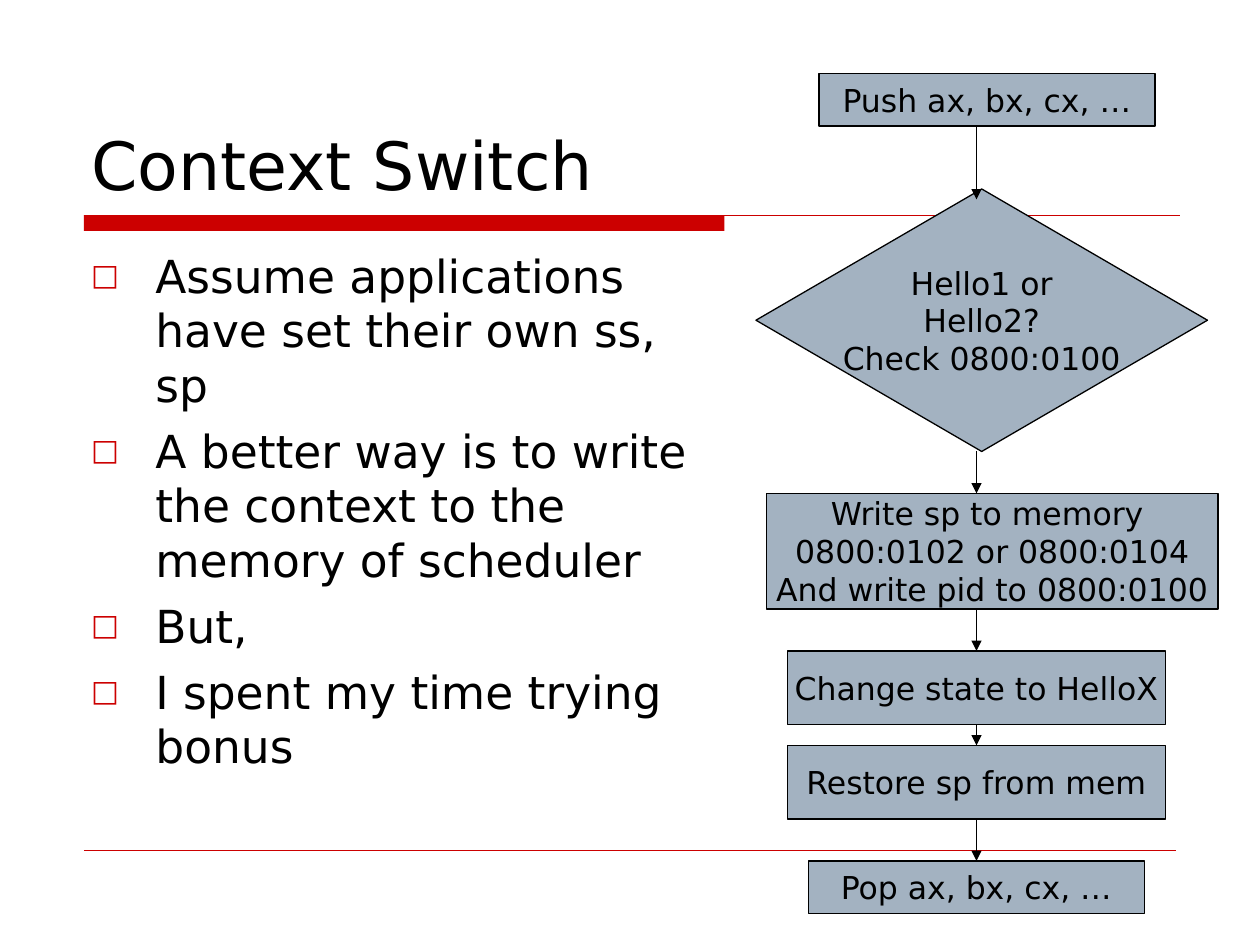
from pptx import Presentation
from pptx.dml.color import RGBColor
from pptx.enum.shapes import MSO_CONNECTOR as Connector, MSO_SHAPE as Shape
from pptx.enum.text import MSO_ANCHOR as Anchor, MSO_AUTO_SIZE as AutoSize, PP_ALIGN as Align
from pptx.oxml.ns import qn
from pptx.util import Inches, Pt
from lxml.etree import SubElement

COLUMNS, ROWS = 120, 90
WIDTH, HEIGHT = Inches(10), Inches(7.5)
FONT = "DejaVu Sans"
RED, BLACK, STEEL = "CC0000", "000000", "A3B2C1"
BOTTOM, TOP = 2, 0
SPINE = 93

POINTS = [
    "Assume applications have set their own ss, sp",
    "A better way is to write the context to the memory of scheduler",
    "But,",
    "I spent my time trying bonus",
]
STEPS = [
    (Shape.RECTANGLE, (78, 7, 32, 5), ["Push ax, bx, cx, …"]),
    (Shape.FLOWCHART_DECISION, (72, 18, 43, 25), ["Hello1 or\nHello2?", "Check 0800:0100"]),
    (Shape.RECTANGLE, (73, 47, 43, 11),
     ["Write sp to memory \n0800:0102 or 0800:0104", "And write pid to 0800:0100"]),
    (Shape.RECTANGLE, (75, 62, 36, 7), ["Change state to HelloX"]),
    (Shape.RECTANGLE, (75, 71, 36, 7), ["Restore sp from mem"]),
    (Shape.RECTANGLE, (77, 82, 32, 5), ["Pop ax, bx, cx, …"]),
]
ARROW_ROWS = [(12, 19), (43, 47), (58, 62), (69, 71), (78, 82)]


def color(value):
    """Turn a hex string into a colour."""
    return RGBColor.from_string(value)


def place(left, top, width, height):
    """Turn grid columns and rows into slide lengths."""
    across, down = WIDTH / COLUMNS, HEIGHT / ROWS
    return round(left * across), round(top * down), round(width * across), round(height * down)


def write(paragraph, text, size):
    """Add text run by run, with a line break at each newline."""
    for index, line in enumerate(text.split("\n")):
        if index:
            paragraph.add_line_break()
        run = paragraph.add_run()
        run.text = line
        run.font.name, run.font.size = FONT, Pt(size)
        run.font.color.rgb = color(BLACK)


def paragraphs(frame, texts):
    """Yield one paragraph of the frame with each text."""
    for index, text in enumerate(texts):
        yield (frame.add_paragraph() if index else frame.paragraphs[0]), text


def add_line(slide, start, end, tint, weight):
    """Draw a straight line between two grid points."""
    line = slide.shapes.add_connector(
        Connector.STRAIGHT, *place(*start, 0, 0)[:2], *place(*end, 0, 0)[:2])
    line.line.color.rgb = color(tint)
    line.line.width = Pt(weight)
    SubElement(line._element.spPr, qn("a:effectLst"))
    return line


def add_block(slide, kind, box, fill):
    """Draw a filled shape without shadow."""
    block = slide.shapes.add_shape(kind, *place(*box))
    block.shadow.inherit = False
    block.fill.solid()
    block.fill.fore_color.rgb = color(fill)
    return block


def add_rules(slide, left, top, width, bottom):
    """Draw the heavy bar with its thin extension and the footer rule."""
    bar = add_block(slide, Shape.RECTANGLE, (left, top, 61, 1.5), RED)
    bar.line.fill.background()
    add_line(slide, (left, top), (left + width + 0.4, top), RED, 0.75)
    add_line(slide, (left, bottom), (left + width, bottom), RED, 0.25)


def add_title(slide, box, text):
    """Place and format the title placeholder."""
    title = slide.shapes.title
    title.left, title.top, title.width, title.height = place(*box)
    frame = title.text_frame
    frame.auto_size, frame.vertical_anchor = AutoSize.NONE, Anchor.BOTTOM
    frame.paragraphs[0].alignment = Align.LEFT
    write(frame.paragraphs[0], text, 38)


def add_bullets(slide, box, points):
    """Write the list with red square bullets."""
    frame = slide.shapes.add_textbox(*place(*box)).text_frame
    frame.word_wrap = True
    for paragraph, text in paragraphs(frame, points):
        paragraph.space_before = Pt(6.5)
        write(paragraph, text, 26)
        properties = paragraph._p.get_or_add_pPr()
        properties.set("marL", str(Inches(0.51)))
        properties.set("indent", str(-Inches(0.51)))
        tint = SubElement(properties, qn("a:buClr"))
        SubElement(tint, qn("a:srgbClr"), val=RED)
        SubElement(properties, qn("a:buSzPct"), val="65000")
        SubElement(properties, qn("a:buFont"), typeface=FONT)
        SubElement(properties, qn("a:buChar"), char="□")


def add_step(slide, kind, box, texts):
    """Draw one flowchart step with centred text."""
    step = add_block(slide, kind, box, STEEL)
    step.line.color.rgb = color(BLACK)
    step.line.width = Pt(0.75)
    frame = step.text_frame
    frame.word_wrap, frame.vertical_anchor = False, Anchor.MIDDLE
    for paragraph, text in paragraphs(frame, texts):
        paragraph.alignment = Align.CENTER
        write(paragraph, text, 18)
    return step


def add_flowchart(slide, steps, arrow_rows):
    """Draw the steps, then the arrows down the spine, joined where centred."""
    blocks = [add_step(slide, *step) for step in steps]
    centred = [left + width / 2 == SPINE for _, (left, _, width, _), _ in steps]
    for index, (start, end) in enumerate(arrow_rows):
        arrow = add_line(slide, (SPINE, start), (SPINE, end), BLACK, 0.75)
        SubElement(arrow.line._get_or_add_ln(), qn("a:tailEnd"), type="triangle")
        if centred[index]:
            arrow.begin_connect(blocks[index], BOTTOM)
        if centred[index + 1]:
            arrow.end_connect(blocks[index + 1], TOP)


def main():
    """Build the slide and save it."""
    deck = Presentation()
    deck.slide_width, deck.slide_height = WIDTH, HEIGHT
    slide = deck.slides.add_slide(deck.slide_layouts[5])
    add_rules(slide, 8, 20.5, 104, 81)
    add_title(slide, (7.5, 4, 105, 16), "Context Switch")
    add_bullets(slide, (7.5, 23, 60.5, 56), POINTS)
    add_flowchart(slide, STEPS, ARROW_ROWS)
    deck.save("out.pptx")


if __name__ == "__main__":
    main()
